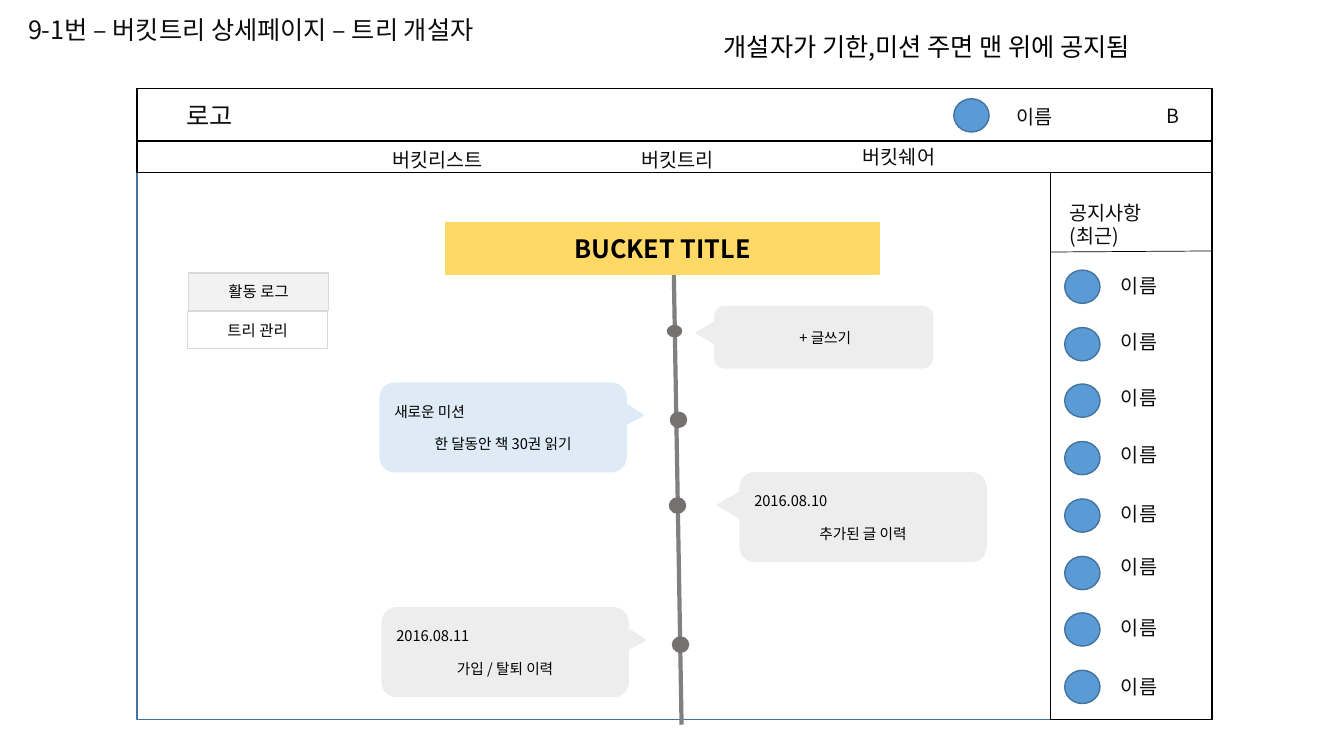
from lxml.etree import SubElement
from pptx import Presentation
from pptx.dml.color import RGBColor
from pptx.enum.shapes import MSO_CONNECTOR, MSO_SHAPE
from pptx.enum.text import MSO_ANCHOR, PP_ALIGN
from pptx.oxml.ns import qn
from pptx.util import Pt

EMU_PER_PX = 9144  # 100 px to the inch
BLACK, INK, WHITE = "000000", "0D0D0D", "FFFFFF"
BLUE, BLUE_EDGE = "5B9BD5", "43739E"
YELLOW, PALE_BLUE = "FFD966", "DEEBF7"
BUBBLE_GRAY, TAB_GRAY, TAB_EDGE = "EDEDED", "F2F2F2", "D9D9D9"
TRUNK_GRAY, NODE_GRAY = "808080", "767171"


def px(length):
    return length * EMU_PER_PX


def color(hex_string):
    return RGBColor.from_string(hex_string)


class Wireframe:
    font = "Noto Sans CJK KR"

    def __init__(self, slide):
        self.slide = slide

    def add_text(self, paragraph, text, size, ink, bold=False):
        run = paragraph.add_run()
        run.text = text
        run.font.name = self.font
        run.font.size = Pt(size)
        run.font.bold = bold
        run.font.color.rgb = color(ink)
        east_asian = SubElement(run.font._element, qn("a:ea"))
        east_asian.set("typeface", self.font)

    def label(self, left, top, width, height, text, size=14, ink=INK,
              anchor=MSO_ANCHOR.TOP):
        box = self.slide.shapes.add_textbox(px(left), px(top), px(width), px(height))
        frame = box.text_frame
        frame.word_wrap = True
        frame.margin_right = 0
        frame.vertical_anchor = anchor
        self.add_text(frame.paragraphs[0], text, size, ink)

    def shape(self, kind, left, top, width, height, fill=None, line=None):
        shape = self.slide.shapes.add_shape(
            kind, px(left), px(top), px(width), px(height))
        shape.shadow.inherit = False
        if fill:
            shape.fill.solid()
            shape.fill.fore_color.rgb = color(fill)
        else:
            shape.fill.background()
        if line:
            shape.line.color.rgb = color(line)
            shape.line.width = Pt(1)
        else:
            shape.line.fill.background()
        return shape

    def panel(self, left, top, width, height, fill=None, line=None,
              text="", size=18, ink=BLACK, bold=False):
        shape = self.shape(MSO_SHAPE.RECTANGLE, left, top, width, height, fill, line)
        if text:
            paragraph = shape.text_frame.paragraphs[0]
            paragraph.alignment = PP_ALIGN.CENTER
            self.add_text(paragraph, text, size, ink, bold)

    def avatar(self, left, top):
        self.shape(MSO_SHAPE.OVAL, left, top, 35, 33, BLUE, BLUE_EDGE)

    def node(self, left, top, width=16, height=15):
        self.shape(MSO_SHAPE.OVAL, left, top, width, height, NODE_GRAY, NODE_GRAY)

    def line(self, x1, y1, x2, y2, ink, width):
        connector = self.slide.shapes.add_connector(
            MSO_CONNECTOR.STRAIGHT, px(x1), px(y1), px(x2), px(y2))
        connector.line.color.rgb = color(ink)
        connector.line.width = Pt(width)
        SubElement(connector._element.spPr, qn("a:effectLst"))

    def bubble(self, left, top, width, height, tail, fill, body, heading=""):
        """Speech bubble; tail is (x offset, y offset, rotation)."""
        tail_x, tail_y, rotation = tail
        triangle = self.shape(MSO_SHAPE.ISOSCELES_TRIANGLE, left + tail_x,
                              top + tail_y, 28, 25, fill, fill)
        triangle.rotation = rotation
        bubble = self.shape(MSO_SHAPE.ROUNDED_RECTANGLE, left, top, width, height,
                            fill, fill)
        frame = bubble.text_frame
        paragraph = frame.paragraphs[0]
        if heading:
            paragraph.alignment = PP_ALIGN.LEFT
            self.add_text(paragraph, heading, 10.5, BLACK)
            paragraph = frame.add_paragraph()
            paragraph.space_before = Pt(10.5)
        paragraph.alignment = PP_ALIGN.CENTER
        self.add_text(paragraph, body, 10.5, BLACK)


def draw_header(page):
    page.label(18, 14, 1150, 30, "9-1번 – 버킷트리 상세페이지 – 트리 개설자", 18,
               anchor=MSO_ANCHOR.MIDDLE)
    page.label(708, 26, 474, 40, "개설자가 기한,미션 주면 맨 위에 공지됨", 18, BLACK)
    page.panel(136, 88, 1066, 626, line=BLUE_EDGE)
    page.panel(136, 88, 1066, 52, WHITE, BLACK)
    page.panel(136, 140, 1066, 31, WHITE, BLACK)
    page.panel(152, 98, 112, 33, WHITE, text="로고", ink=INK)
    page.avatar(946, 98)
    page.label(998, 99, 56, 31, "이름")
    page.label(1147, 98, 30, 31, "B")
    for left, top, width, menu in ((379, 142, 112, "버킷리스트"),
                                   (626, 142, 93, "버킷트리"),
                                   (846, 139, 93, "버킷쉐어")):
        page.label(left, top, width, 31, menu)


def draw_notices(page):
    page.panel(1042, 171, 160, 543, WHITE, BLACK)
    page.line(1042, 250, 1202, 249, BLACK, 0.5)
    page.label(1051, 194, 100, 31, "공지사항(최근)")
    name_tops = (267, 322, 378, 434, 493, 546, 606, 665)
    for row, name_top in enumerate(name_tops):
        page.avatar(1056, 268 + round(row * 56.7))
        page.label(1102, name_top, 56, 31, "이름")


def draw_tree(page):
    left_tail, right_tail = (-18, 16, 30.8), (229, 15, 332.7)
    page.line(668, 253, 676, 719, TRUNK_GRAY, 3)
    page.panel(442, 221, 430, 51, YELLOW, YELLOW, "BUCKET TITLE", bold=True)
    page.node(662, 323, 14, 11)
    for left, top in ((665, 409), (664, 494), (667, 632)):
        page.node(left, top)
    page.bubble(709, 304, 216, 61, (-14, 10, 30.8), BUBBLE_GRAY, " + 글쓰기")
    page.bubble(377, 380, 244, 88, right_tail, PALE_BLUE,
                "한 달동안 책 30권 읽기", "새로운 미션")
    page.bubble(734, 469, 244, 88, left_tail, BUBBLE_GRAY,
                "추가된 글 이력", "2016.08.10")
    page.bubble(379, 603, 244, 88, right_tail, BUBBLE_GRAY,
                "가입 / 탈퇴 이력", "2016.08.11")
    page.panel(187, 271, 139, 37, TAB_GRAY, TAB_EDGE, "활동 로그", 11)
    page.panel(186, 309, 139, 37, None, TAB_EDGE, "트리 관리", 11)


def main():
    presentation = Presentation()
    presentation.slide_width = px(1333)
    presentation.slide_height = px(750)
    page = Wireframe(presentation.slides.add_slide(presentation.slide_layouts[6]))
    draw_header(page)
    draw_notices(page)
    draw_tree(page)
    presentation.save("out.pptx")


if __name__ == "__main__":
    main()
